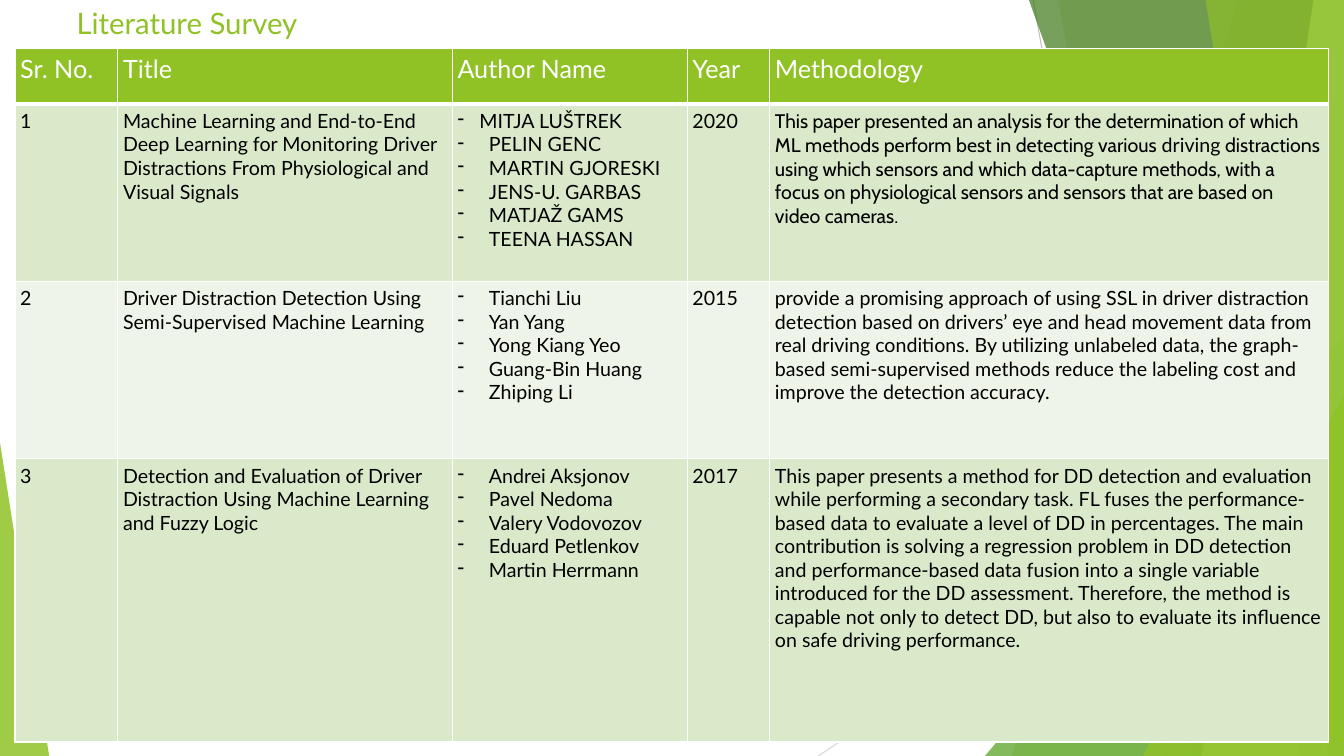
from lxml.etree import SubElement
from pptx import Presentation
from pptx.dml.color import RGBColor
from pptx.enum.shapes import MSO_CONNECTOR
from pptx.enum.text import MSO_ANCHOR
from pptx.oxml import parse_xml
from pptx.oxml.ns import nsdecls, qn
from pptx.util import Cm, Pt

WIDE, HIGH = 33.87, 19.05
GREEN, WHITE, BLACK = "90C226", "FFFFFF", "000000"
BANDS = ["DBE9CB", "EEF4E7"]
PAD = 0.13
HANG = 0.79

TITLE = "Literature Survey"
HEADS = ["Sr. No.", "Title", "Author Name", "Year", "Methodology"]
COLS = [2.59, 8.43, 5.92, 2.08, 14.07]
ROWS = [1.4, 4.47, 4.47, 7.14]
PAPERS = [
    ("1",
     "Machine Learning and End-to-End Deep Learning for Monitoring Driver Distractions From Physiological and Visual Signals",
     ["MITJA LUŠTREK", "PELIN GENC", "MARTIN GJORESKI", "JENS-U. GARBAS", "MATJAŽ GAMS", "TEENA HASSAN"],
     "2020",
     [("This paper presented an analysis for the determination of which ML methods perform best in detecting various ", "Cabin"),
      ("driving", "Lato"),
      (" distractions using which sensors and which data-capture methods, with a focus on physiological sensors and sensors that are based on video cameras.", "Cabin")]),
    ("2",
     "Driver Distraction Detection Using Semi-Supervised Machine Learning",
     ["Tianchi Liu", "Yan Yang", "Yong Kiang Yeo", "Guang-Bin Huang", "Zhiping Li"],
     "2015",
     [("provide a promising approach of using SSL in driver distraction detection based on drivers’ eye and head movement data from real driving conditions. By utilizing unlabeled data, the graph-based semi-supervised methods reduce the labeling cost and improve the detection accuracy.", "Lato")]),
    ("3",
     "Detection and Evaluation of Driver Distraction Using Machine Learning and Fuzzy Logic",
     ["Andrei Aksjonov", "Pavel Nedoma", "Valery Vodovozov", "Eduard Petlenkov", "Martin Herrmann"],
     "2017",
     [("This paper presents a method for DD detection and evaluation while performing a secondary task. FL fuses the performance-based data to evaluate a level of DD in percentages. The main contribution is solving a regression problem in DD detection and performance-based data fusion into a single variable introduced for the DD assessment. Therefore, the method is capable not only to detect DD, but also to evaluate its influence on safe driving performance.", "Lato")]),
]

RAYS = [
    ((26.04, 0), (29.41, HIGH), "BFBFBF"),
    ((WIDE, 10.24), (20.62, HIGH), "D9D9D9"),
]
RIGHT = [(WIDE, 0), (WIDE, HIGH)]
FACETS = [
    ([(31.19, 0), *RIGHT, (25.5, HIGH)], GREEN, 30),
    ([(26.67, 0), *RIGHT, (30.05, HIGH)], GREEN, 20),
    ([(24.82, HIGH), (WIDE, 8.46), (WIDE, HIGH)], "54A021", 72),
    ([(25.93, 0), *RIGHT, (32.79, HIGH)], "3F7819", 70),
    ([(33.1, 0), *RIGHT, (30.28, HIGH)], "C0E474", 70),
    ([(30.38, 0), *RIGHT, (33.48, HIGH)], GREEN, 65),
    ([(28.8, HIGH), (WIDE, 9.98), (WIDE, HIGH)], GREEN, 80),
    ([(0, HIGH), (0, 11.15), (1.24, HIGH)], GREEN, 85),
]


def paint(form, tint):
    form.solid()
    form.fore_color.rgb = RGBColor.from_string(tint)


def add_ray(slide, start, end, tint):
    ray = slide.shapes.add_connector(
        MSO_CONNECTOR.STRAIGHT, *map(Cm, start + end))
    paint(ray.line.fill, tint)
    ray.line.width = Pt(0.75)
    SubElement(ray._element.spPr, qn("a:effectLst"))


def add_facet(slide, spots, tint, alpha):
    spots = [(Cm(x), Cm(y)) for x, y in spots]
    pen = slide.shapes.build_freeform(*spots[0])
    pen.add_line_segments(spots[1:], close=True)
    facet = pen.convert_to_shape()
    facet.shadow.inherit = False
    facet.line.fill.background()
    paint(facet.fill, tint)
    shade = facet._element.xpath("./p:spPr/a:solidFill/a:srgbClr")[0]
    SubElement(shade, qn("a:alpha"), val=str(alpha * 1000))


def add_run(para, text, size, tint, face="Lato"):
    run = para.add_run()
    run.text = text
    run.font.size = Pt(size)
    run.font.name = face
    paint(run.font.fill, tint)


def add_dash(para, hang):
    props = para._p.get_or_add_pPr()
    props.set("marL", str(Cm(hang)))
    props.set("indent", str(-Cm(hang)))
    SubElement(props, qn("a:buChar"), char="-")


def set_pads(box):
    box.margin_left = box.margin_right = Cm(PAD)
    box.margin_top = box.margin_bottom = Cm(PAD)


def style_cell(cell, tint, row):
    set_pads(cell)
    cell.vertical_anchor = MSO_ANCHOR.TOP
    paint(cell.fill, tint)
    widths = {"L": 1, "R": 1, "T": 3 if row == 1 else 1, "B": 3 if row == 0 else 1}
    props = cell._tc.get_or_add_tcPr()
    for spot, (side, width) in enumerate(widths.items()):
        props.insert(spot, parse_xml(
            f'<a:ln{side} {nsdecls("a")} w="{Pt(width)}"><a:solidFill>'
            f'<a:srgbClr val="{WHITE}"/></a:solidFill></a:ln{side}>'))


def add_names(frame, names, first):
    for spot, name in enumerate(names):
        para = frame.add_paragraph() if spot else frame.paragraphs[0]
        add_dash(para, 0.55 if first and not spot else HANG)
        add_run(para, name, 14, BLACK)


def add_survey(slide):
    table = slide.shapes.add_table(
        len(ROWS), len(COLS), Cm(0.38), Cm(1.22), Cm(sum(COLS)), Cm(sum(ROWS))).table
    table.first_row = table.horz_banding = False
    for col, width in zip(table.columns, COLS):
        col.width = Cm(width)
    for row, height in zip(table.rows, ROWS):
        row.height = Cm(height)
    for col, head in enumerate(HEADS):
        cell = table.cell(0, col)
        style_cell(cell, GREEN, 0)
        add_run(cell.text_frame.paragraphs[0], head, 18, WHITE)
    for row, paper in enumerate(PAPERS, 1):
        for col, item in enumerate(paper):
            cell = table.cell(row, col)
            style_cell(cell, BANDS[(row - 1) % 2], row)
            frame = cell.text_frame
            if col == 2:
                add_names(frame, item, row == 1)
                continue
            runs = [(item, "Lato")] if isinstance(item, str) else item
            for text, face in runs:
                add_run(frame.paragraphs[0], text, 14, BLACK, face)


def main():
    deck = Presentation()
    deck.slide_width, deck.slide_height = Cm(WIDE), Cm(HIGH)
    slide = deck.slides.add_slide(deck.slide_layouts[6])
    for ray in RAYS:
        add_ray(slide, *ray)
    for facet in FACETS:
        add_facet(slide, *facet)
    frame = slide.shapes.add_textbox(Cm(1.8), Cm(0), Cm(23.88), Cm(1.37)).text_frame
    frame.word_wrap = True
    set_pads(frame)
    add_run(frame.paragraphs[0], TITLE, 21, GREEN)
    add_survey(slide)
    deck.save("out.pptx")


if __name__ == "__main__":
    main()
